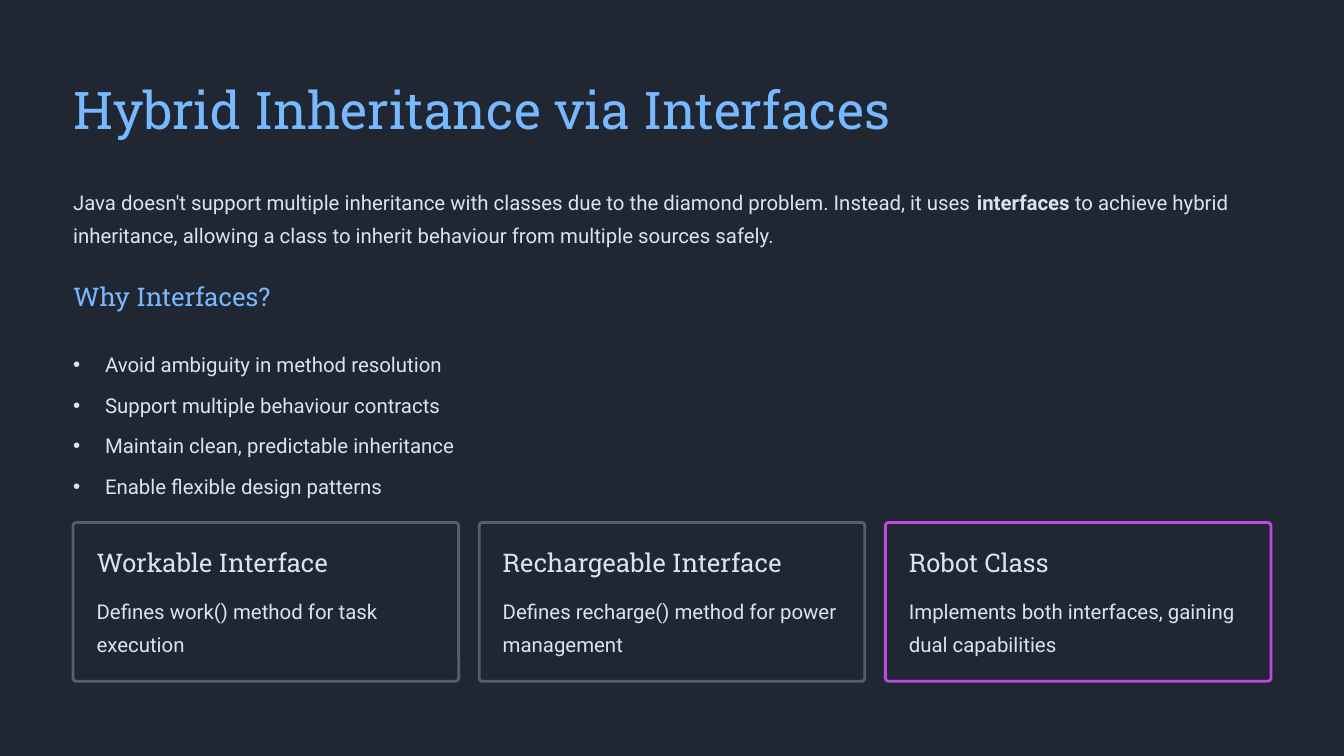
import dataclasses
import typing

import lxml.etree
import pptx
import pptx.dml.color
import pptx.enum.shapes
import pptx.enum.text
import pptx.oxml.ns
import pptx.util

Inches = pptx.util.Inches
Pt = pptx.util.Pt


# Theme: colours and type styles
@dataclasses.dataclass(frozen=True)
class TextStyle:
    font: str
    size: float
    line: float
    color: str


@dataclasses.dataclass(frozen=True)
class Theme:
    background: str = "202733"
    border: str = "585F6B"
    highlight: str = "BE49DF"
    title: TextStyle = TextStyle("Roboto Slab", 44.5, 55.5, "76B9FF")
    heading: TextStyle = TextStyle("Roboto Slab", 22, 27.5, "76B9FF")
    card_heading: TextStyle = TextStyle("Roboto Slab", 22, 27.5, "D6E5EF")
    body: TextStyle = TextStyle("Roboto", 17.5, 28.5, "D6E5EF")


THEME = Theme()


class Box(typing.NamedTuple):
    left: float
    top: float
    width: float
    height: float


class Card(typing.NamedTuple):
    heading: str
    description: str
    border: str


# Content
MARGIN = 0.87
CONTENT_WIDTH = 14.26
TITLE = "Hybrid Inheritance via Interfaces"
INTRO = (
    "Java doesn't support multiple inheritance with classes due to the diamond problem. "
    "Instead, it uses **interfaces** to achieve hybrid inheritance, allowing a class to "
    "inherit behaviour from multiple sources safely."
)
REASONS = [
    "Avoid ambiguity in method resolution",
    "Support multiple behaviour contracts",
    "Maintain clean, predictable inheritance",
    "Enable flexible design patterns",
]
CARDS = [
    Card("Workable Interface", "Defines work() method for task execution", THEME.border),
    Card("Rechargeable Interface", "Defines recharge() method for power management",
         THEME.border),
    Card("Robot Class", "Implements both interfaces, gaining dual capabilities",
         THEME.highlight),
]
CARD_TOP, CARD_WIDTH, CARD_HEIGHT = 6.22, 4.59, 1.89
CARD_STEP = (CONTENT_WIDTH - CARD_WIDTH) / (len(CARDS) - 1)
CARD_PADDING = 0.28


def rgb(color: str) -> pptx.dml.color.RGBColor:
    return pptx.dml.color.RGBColor.from_string(color)


def apply_format(target: typing.Any, values: dict[str, typing.Any]) -> None:
    for attribute, value in values.items():
        setattr(target, attribute, value)


def inches(box: Box) -> list[int]:
    return [Inches(length) for length in box]


def add_bullet(paragraph: typing.Any) -> None:
    properties = paragraph._p.get_or_add_pPr()
    properties.set("marL", str(Inches(0.38)))
    properties.set("indent", str(-Inches(0.38)))
    bullet = lxml.etree.SubElement(properties, pptx.oxml.ns.qn("a:buChar"))
    bullet.set("char", "•")


def write(frame: typing.Any, lines: list[str], style: TextStyle, wrap: bool = True,
          bulleted: bool = False, gap: float = 0) -> None:
    """Fill a text frame; words between double asterisks are bold."""
    apply_format(frame, {
        "margin_left": 0, "margin_top": 0, "margin_right": 0, "margin_bottom": 0,
        "word_wrap": wrap,
        "auto_size": pptx.enum.text.MSO_AUTO_SIZE.NONE,
        "vertical_anchor": pptx.enum.text.MSO_ANCHOR.TOP,
    })
    for number, line in enumerate(lines):
        paragraph = frame.add_paragraph() if number else frame.paragraphs[0]
        if bulleted:
            add_bullet(paragraph)
        apply_format(paragraph, {
            "alignment": pptx.enum.text.PP_ALIGN.LEFT,
            "line_spacing": Pt(style.line),
            "space_before": Pt(0),
            "space_after": Pt(gap),
        })
        for part, text in enumerate(line.split("**")):
            run = paragraph.add_run()
            run.text = text
            apply_format(run.font, {
                "name": style.font, "size": Pt(style.size), "bold": part % 2 == 1,
            })
            run.font.color.rgb = rgb(style.color)


def add_text(slide: typing.Any, box: Box, text: str, style: TextStyle,
             wrap: bool = True) -> None:
    write(slide.shapes.add_textbox(*inches(box)).text_frame, [text], style, wrap)


def place(placeholder: typing.Any, box: Box) -> None:
    apply_format(placeholder, dict(zip(("left", "top", "width", "height"), inches(box))))


def add_card(slide: typing.Any, left: float, card: Card) -> None:
    frame = slide.shapes.add_shape(
        pptx.enum.shapes.MSO_SHAPE.ROUNDED_RECTANGLE,
        *inches(Box(left, CARD_TOP, CARD_WIDTH, CARD_HEIGHT)))
    frame.adjustments[0] = 0.02
    frame.shadow.inherit = False
    frame.fill.solid()
    frame.fill.fore_color.rgb = rgb(THEME.background)
    frame.line.color.rgb = rgb(card.border)
    frame.line.width = Pt(2.4)

    text_left = left + CARD_PADDING
    text_top = CARD_TOP + CARD_PADDING
    text_width = CARD_WIDTH - 2 * CARD_PADDING
    add_text(slide, Box(text_left, text_top, text_width, 0.39), card.heading,
             THEME.card_heading, wrap=False)
    add_text(slide, Box(text_left, text_top + 0.53, text_width, 0.79), card.description,
             THEME.body)


def main() -> None:
    presentation = pptx.Presentation()
    apply_format(presentation, {"slide_width": Inches(16), "slide_height": Inches(9)})
    slide = presentation.slides.add_slide(presentation.slide_layouts[1])
    slide.background.fill.solid()
    slide.background.fill.fore_color.rgb = rgb(THEME.background)

    # Title and introduction
    title = slide.shapes.title
    place(title, Box(MARGIN, 0.89, CONTENT_WIDTH, 0.78))
    write(title.text_frame, [TITLE], THEME.title)
    add_text(slide, Box(MARGIN, 2.16, CONTENT_WIDTH, 0.79), INTRO, THEME.body)

    # Reasons
    add_text(slide, Box(MARGIN, 3.33, 3.1, 0.39), "Why Interfaces?", THEME.heading,
             wrap=False)
    reasons = slide.placeholders[1]
    place(reasons, Box(MARGIN, 4.09, CONTENT_WIDTH, 1.85))
    write(reasons.text_frame, REASONS, THEME.body, bulleted=True, gap=6.3)

    # Interface and class cards
    for column, card in enumerate(CARDS):
        add_card(slide, MARGIN + column * CARD_STEP, card)

    presentation.save("out.pptx")


if __name__ == "__main__":
    main()
